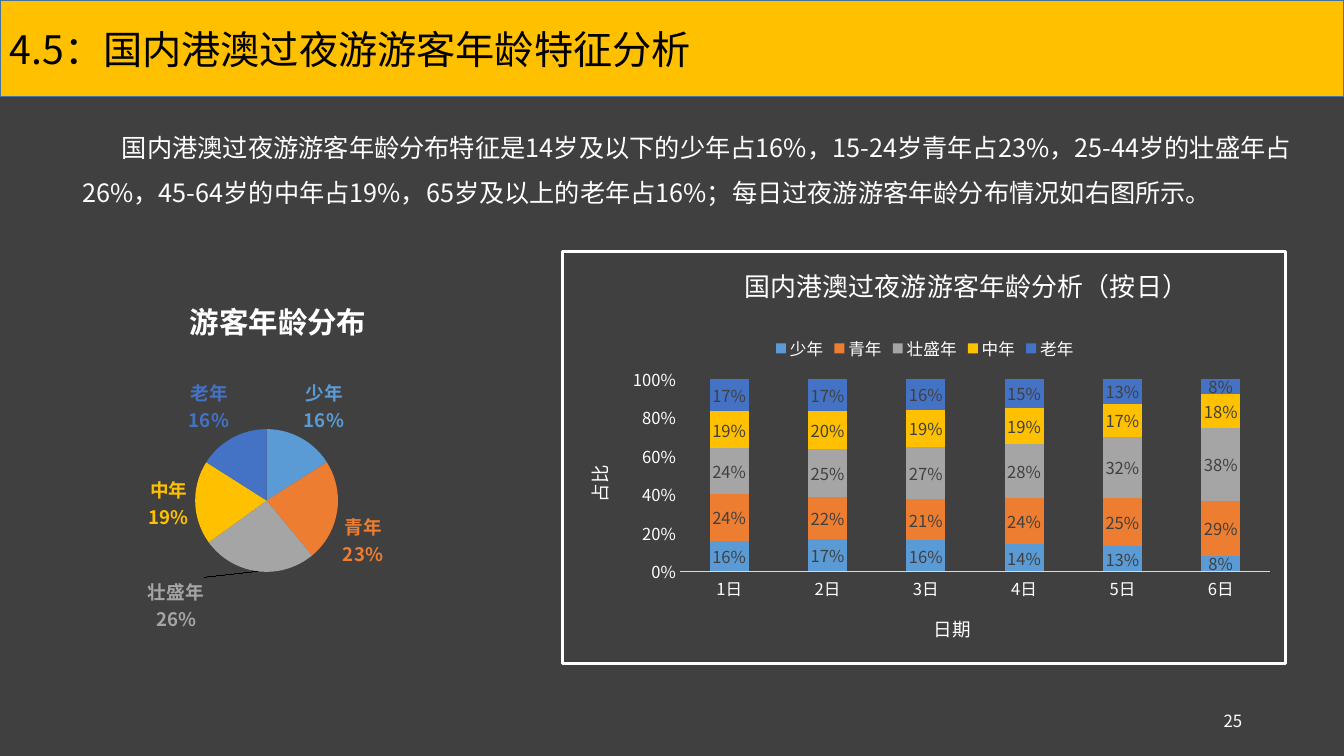
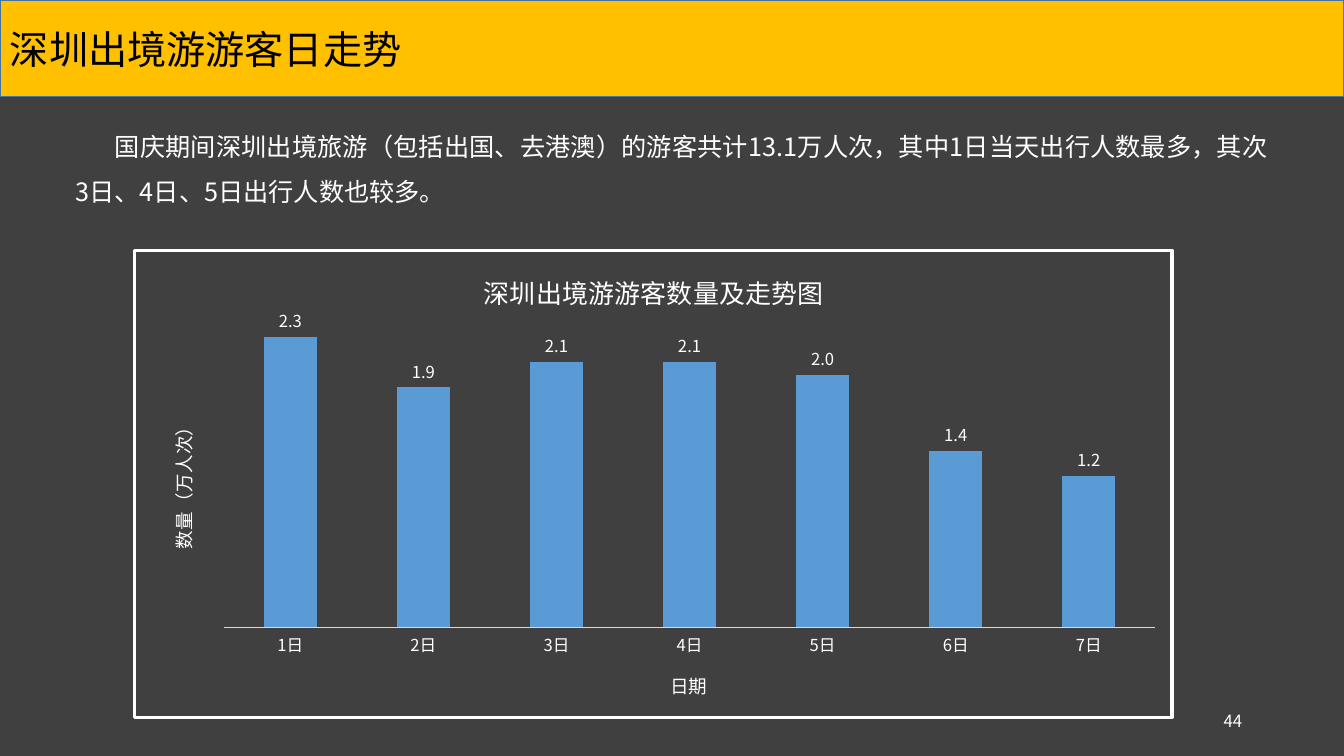
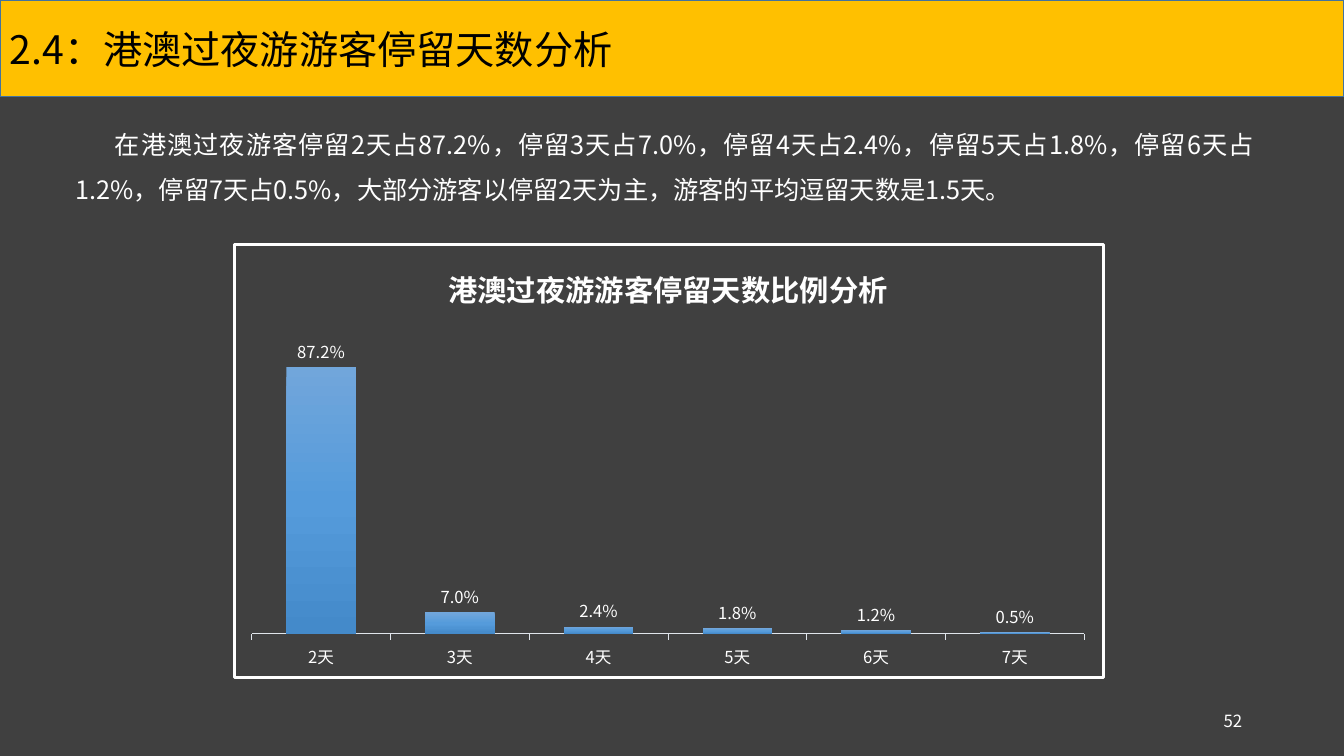
from pptx import Presentation
from pptx.chart.data import CategoryChartData
from pptx.dml.color import RGBColor
from pptx.enum.chart import XL_CHART_TYPE, XL_LABEL_POSITION, XL_LEGEND_POSITION, XL_TICK_MARK
from pptx.enum.shapes import MSO_SHAPE
from pptx.enum.text import MSO_ANCHOR, PP_ALIGN
from pptx.oxml import parse_xml
from pptx.oxml.ns import nsdecls, qn
from pptx.util import Inches, Pt

STACKED = XL_CHART_TYPE.COLUMN_STACKED_100
CLUSTERED = XL_CHART_TYPE.COLUMN_CLUSTERED
PIE = XL_CHART_TYPE.PIE
CENTER, OUTSIDE = XL_LABEL_POSITION.CENTER, XL_LABEL_POSITION.OUTSIDE_END
TICK_NONE, TICK_OUT = XL_TICK_MARK.NONE, XL_TICK_MARK.OUTSIDE

FONT = "Noto Sans CJK SC"
WIDTH, HEIGHT = 13.33, 7.5
WHITE, BLACK, DARK, GOLD = "FFFFFF", "000000", "404040", "FFC000"
BAND_LINE, AXIS_GRAY, AXIS_PALE = "43739E", "D9D9D9", "E0E5EB"
BLUE = "5B9BD5"
AGE_COLORS = [BLUE, "ED7D31", "A5A5A5", GOLD, "4472C4"]
BAR_GRADIENT = [(0, "71A6DB"), (50, "559BDB"), (100, "448ACA")]
LABEL_SIZE, AXIS_TITLE_SIZE = 11.9, 13.3
AGES = ["少年", "青年", "壮盛年", "中年", "老年"]
DAYS = [f"{day}日" for day in range(1, 8)]

# Chart boxes are in inches; plot, legend and title places are shares of the chart.
SLIDES = [
    dict(
        title="4.5：国内港澳过夜游游客年龄特征分析", number=25, body_box=(0.72, 1.11, 12.18, 1.46),
        body="国内港澳过夜游游客年龄分布特征是14岁及以下的少年占16%，15-24岁青年占23%，"
             "25-44岁的壮盛年占26%，45-64岁的中年占19%，65岁及以上的老年占16%；"
             "每日过夜游游客年龄分布情况如右图所示。",
        charts=[
            dict(kind=STACKED, box=(5.56, 2.48, 7.21, 4.12), plot=(0.163, 0.309, 0.815, 0.467),
                 title=("国内港澳过夜游游客年龄分析（按日）", 18.6, False, (0.245, 0.018)),
                 category_title=("日期", (0.509, 0.868)), value_title=("占比", (0.025, 0.51)),
                 legend=(0.288, 0.195), categories=DAYS[:6], format="0%",
                 maximum=1, gap=150, tick=TICK_NONE, axis_color=AXIS_GRAY,
                 label_color=DARK, colors=AGE_COLORS,
                 series=[("少年", [0.16, 0.17, 0.16, 0.14, 0.13, 0.08]),
                         ("青年", [0.24, 0.22, 0.21, 0.24, 0.25, 0.29]),
                         ("壮盛年", [0.24, 0.25, 0.27, 0.28, 0.32, 0.38]),
                         ("中年", [0.19, 0.2, 0.19, 0.19, 0.17, 0.18]),
                         ("老年", [0.17, 0.17, 0.16, 0.15, 0.13, 0.08])]),
            dict(kind=PIE, box=(0.37, 2.88, 4.54, 3.53), plot=(0.345, 0.39, 0.312, 0.402),
                 title=("游客年龄分布", 21, True, (0.322, 0.002)),
                 categories=AGES, format="0%", colors=AGE_COLORS,
                 series=[("游客年龄分布", [16, 23, 26, 19, 16])],
                 label_shifts={2: (-0.114, 0)}),
        ]),
    dict(
        title="深圳出境游游客日走势", number=44, body_box=(0.65, 1.1, 12.02, 1.01),
        body="国庆期间深圳出境旅游（包括出国、去港澳）的游客共计13.1万人次，"
             "其中1日当天出行人数最多，其次3日、4日、5日出行人数也较多。",
        charts=[
            dict(kind=CLUSTERED, box=(1.32, 2.47, 10.32, 4.66), plot=(0.086, 0.131, 0.898, 0.677),
                 title=("深圳出境游游客数量及走势图", 18.6, False, (0.332, 0.032)),
                 category_title=("日期", (0.513, 0.891)),
                 value_title=("数量（万人次）", (0.028, 0.351)),
                 categories=DAYS, format="0.0", maximum=2.5, gap=150,
                 tick=TICK_NONE, axis_color=AXIS_GRAY, label_color=WHITE, colors=[BLUE],
                 series=[("数量", [2.3, 1.9, 2.1, 2.1, 2, 1.4, 1.2])]),
        ]),
    dict(
        title="2.4：港澳过夜游游客停留天数分析", number=52, body_box=(0.65, 1.08, 11.88, 1.01),
        body="在港澳过夜游客停留2天占87.2%，停留3天占7.0%，停留4天占2.4%，停留5天占1.8%，"
             "停留6天占1.2%，停留7天占0.5%，大部分游客以停留2天为主，游客的平均逗留天数是1.5天。",
        charts=[
            dict(kind=CLUSTERED, box=(2.31, 2.41, 8.65, 4.33), plot=(0.02, 0.193, 0.958, 0.706),
                 title=("港澳过夜游游客停留天数比例分析", 21, True, (0.24, 0.035)),
                 categories=[f"{days}天" for days in range(2, 8)], format="0.0%",
                 maximum=1, gap=100, tick=TICK_OUT, axis_color=AXIS_PALE,
                 label_color=WHITE, colors=[BAR_GRADIENT],
                 series=[("比例", [0.872, 0.07, 0.024, 0.018, 0.012, 0.005])]),
        ]),
]


def rgb(color):
    return RGBColor.from_string(color)


def style_font(font, size, color, bold=False):
    font.name, font.size, font.bold = FONT, Pt(size), bold
    font.color.rgb = rgb(color)


def fill_solid(fill, color):
    fill.solid()
    fill.fore_color.rgb = rgb(color)


def set_east_asian_fonts(root):
    """Repeat each Latin typeface for the Chinese characters."""
    for latin in list(root.iter(qn("a:latin"))):
        latin.addnext(parse_xml(f'<a:ea {nsdecls("a")} typeface="{FONT}"/>'))


def layout_xml(places, inner=False):
    """Manual layout from shares of the chart: x, y and, if given, width and height."""
    target = '<c:layoutTarget val="inner"/>' if inner else ""
    modes = '<c:xMode val="edge"/><c:yMode val="edge"/>'
    values = "".join(f'<c:{key} val="{value}"/>' for key, value in zip("xywh", places))
    return parse_xml(f'<c:layout {nsdecls("c")}><c:manualLayout>{target}{modes}{values}'
                     '</c:manualLayout></c:layout>')


def place(parent, layout, after=None):
    """Put a layout into a chart part, after the named child or at the front."""
    for old in parent.findall(qn("c:layout")):
        parent.remove(old)
    if after:
        parent.find(qn(after)).addnext(layout)
    else:
        parent.insert(0, layout)


def add_text(shape, text, size, color, align=PP_ALIGN.LEFT):
    frame = shape.text_frame
    frame.word_wrap = True
    frame.text = text
    paragraph = frame.paragraphs[0]
    paragraph.alignment = align
    style_font(paragraph.runs[0].font, size, color)
    return frame


def add_frame(slide, title, number, body, body_box):
    fill_solid(slide.background.fill, DARK)
    band = slide.shapes.add_shape(MSO_SHAPE.RECTANGLE, 0, 0, Inches(WIDTH), Inches(0.96))
    band.shadow.inherit = False
    fill_solid(band.fill, GOLD)
    band.line.color.rgb, band.line.width = rgb(BAND_LINE), Pt(1)
    add_text(band, title, 28, BLACK).vertical_anchor = MSO_ANCHOR.MIDDLE

    body_shape = slide.shapes.add_textbox(*map(Inches, body_box))
    paragraph = add_text(body_shape, body, 18, WHITE, PP_ALIGN.JUSTIFY).paragraphs[0]
    paragraph.line_spacing = 1.5
    paragraph._p.get_or_add_pPr().set("indent", str(Inches(0.39)))

    footer = slide.shapes.add_textbox(*map(Inches, (9.42, 6.95, 3, 0.4)))
    add_text(footer, str(number), 12, WHITE, PP_ALIGN.RIGHT).vertical_anchor = MSO_ANCHOR.MIDDLE


def set_title(title, text, size, position, bold=False):
    """Write a chart or axis title at the given place."""
    title.text_frame.text = text
    style_font(title.text_frame.paragraphs[0].runs[0].font, size, WHITE, bold)
    place(title._element, layout_xml(position), after="c:tx")


def fill_series(series, color):
    if isinstance(color, str):
        fill_solid(series.format.fill, color)
        return
    stops = "".join(f'<a:gs pos="{share * 1000}"><a:srgbClr val="{stop}"/></a:gs>'
                    for share, stop in color)
    series._element.get_or_add_spPr().append(parse_xml(
        f'<a:gradFill {nsdecls("a")}><a:gsLst>{stops}</a:gsLst>'
        '<a:lin ang="5400000" scaled="0"/></a:gradFill>'))


def add_border(chart):
    chart.element.find(qn("c:chart")).addnext(parse_xml(
        f'<c:spPr {nsdecls("c", "a")}><a:noFill/><a:ln w="{Pt(2.25)}"><a:solidFill>'
        f'<a:srgbClr val="{WHITE}"/></a:solidFill><a:round/></a:ln></c:spPr>'))


def style_columns(chart, item):
    stacked = item["kind"] == STACKED
    plot = chart.plots[0]
    plot.gap_width = item["gap"]
    if stacked:
        plot.overlap = 100
    for series, color in zip(plot.series, item["colors"]):
        fill_series(series, color)
        series.invert_if_negative = False
        labels = series.data_labels
        labels.show_value = True
        labels.number_format, labels.number_format_is_linked = item["format"], False
        labels.position = CENTER if stacked else OUTSIDE
        style_font(labels.font, LABEL_SIZE, item["label_color"])

    category_axis, value_axis = chart.category_axis, chart.value_axis
    category_axis.major_tick_mark = item["tick"]
    category_axis.format.line.color.rgb = rgb(item["axis_color"])
    category_axis.format.line.width = Pt(0.75)
    value_axis.minimum_scale, value_axis.maximum_scale = 0, item["maximum"]
    value_axis.has_major_gridlines = False
    value_axis.major_tick_mark = TICK_NONE
    value_axis.format.line.fill.background()
    value_axis.tick_labels.number_format = item["format"]
    value_axis.tick_labels.number_format_is_linked = False
    value_axis.visible = stacked
    if stacked:
        value_axis.major_unit = 0.2
    for axis, key in ((category_axis, "category_title"), (value_axis, "value_title")):
        style_font(axis.tick_labels.font, LABEL_SIZE, WHITE)
        if key in item:
            text, position = item[key]
            set_title(axis.axis_title, text, AXIS_TITLE_SIZE, position)
    add_border(chart)


def style_pie(chart, item):
    series = chart.plots[0].series[0]
    labels = series.data_labels
    labels.show_value, labels.show_category_name, labels.show_percentage = False, True, True
    labels.number_format, labels.number_format_is_linked = item["format"], False
    labels.position = OUTSIDE
    style_font(labels.font, AXIS_TITLE_SIZE, BLUE, True)
    for index, color in enumerate(item["colors"]):
        point = series.points[index]
        fill_solid(point.format.fill, color)
        style_font(point.data_label.font, AXIS_TITLE_SIZE, color, True)
        point.data_label.position = OUTSIDE

    separator = f'<c:separator {nsdecls("c")}>\n</c:separator>'
    shown = {"c:showVal": "0", "c:showCatName": "1", "c:showPercent": "1"}
    for index, label in enumerate(chart.element.xpath("//c:dLbl")):
        for tag, value in shown.items():
            label.find(qn(tag)).set("val", value)
        label.append(parse_xml(separator))
        if index in item["label_shifts"]:
            x, y = item["label_shifts"][index]
            place(label, parse_xml(
                f'<c:layout {nsdecls("c")}><c:manualLayout><c:x val="{x}"/><c:y val="{y}"/>'
                '</c:manualLayout></c:layout>'), after="c:idx")
    group = chart.element.xpath("//c:ser/c:dLbls")[0]
    for old in group.findall(qn("c:showLeaderLines")):
        group.remove(old)
    group.append(parse_xml(separator))
    group.append(parse_xml(f'<c:showLeaderLines {nsdecls("c")} val="1"/>'))


def add_chart(slide, item):
    data = CategoryChartData(number_format=item["format"])
    data.categories = item["categories"]
    for name, values in item["series"]:
        data.add_series(name, values)
    chart = slide.shapes.add_chart(item["kind"], *map(Inches, item["box"]), data).chart
    style_font(chart.font, 10, WHITE)
    text, size, bold, position = item["title"]
    set_title(chart.chart_title, text, size, position, bold)
    chart.has_legend = "legend" in item
    if chart.has_legend:
        chart.legend.position = XL_LEGEND_POSITION.TOP
        chart.legend.include_in_layout = False
        style_font(chart.legend.font, LABEL_SIZE, WHITE)
        place(chart.legend._element, layout_xml(item["legend"]), after="c:legendPos")
    place(chart.element.xpath("//c:plotArea")[0], layout_xml(item["plot"], inner=True))
    chart.plots[0].vary_by_categories = item["kind"] == PIE
    if item["kind"] == PIE:
        style_pie(chart, item)
    else:
        style_columns(chart, item)
    set_east_asian_fonts(chart.element)


def main():
    presentation = Presentation()
    presentation.slide_width, presentation.slide_height = Inches(WIDTH), Inches(HEIGHT)
    for content in SLIDES:
        slide = presentation.slides.add_slide(presentation.slide_layouts[6])
        add_frame(slide, content["title"], content["number"], content["body"], content["body_box"])
        for item in content["charts"]:
            add_chart(slide, item)
        set_east_asian_fonts(slide.element)
    presentation.save("out.pptx")


if __name__ == "__main__":
    main()
